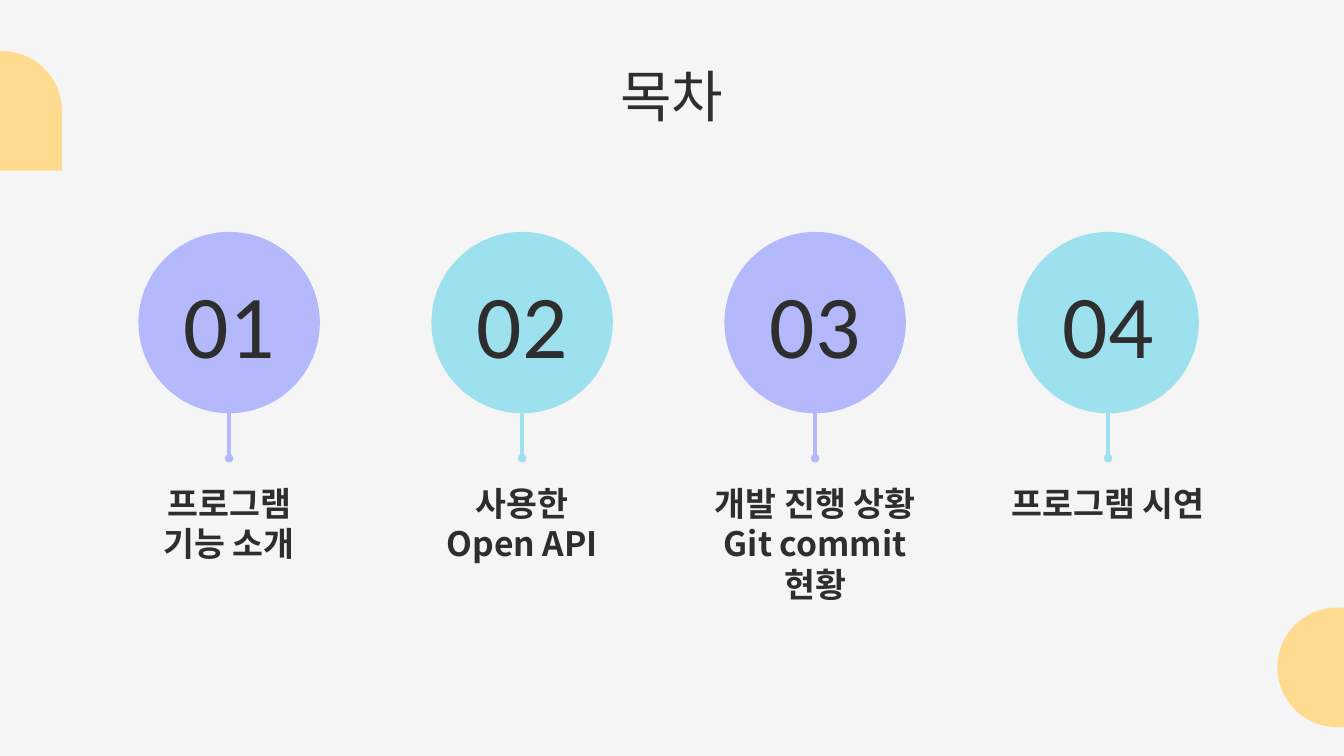
"""Build a table of contents slide with four numbered topics."""

from dataclasses import dataclass

from lxml.etree import SubElement
from pptx import Presentation
from pptx.dml.color import RGBColor
from pptx.enum.shapes import MSO_CONNECTOR, MSO_SHAPE
from pptx.enum.text import MSO_ANCHOR, MSO_AUTO_SIZE, PP_ALIGN
from pptx.oxml.ns import qn
from pptx.util import Pt

SCALE = 4572
INK, PAPER, GOLD = "2E2E2E", "F5F5F5", "FFDB8F"
LILAC, AQUA = "B3B9FB", "9DE0EE"
HANGUL, LATIN = "Noto Sans CJK KR", "Calibri"
FIRST, STEP = 341, 436


@dataclass
class Topic:
    """Hold one topic of the contents."""

    label: str
    width: int
    color: str


TOPICS = [
    Topic("프로그램\n기능 소개", 336, LILAC),
    Topic("사용한\nOpen API", 356, AQUA),
    Topic("개발 진행 상황\nGit commit 현황", 356, LILAC),
    Topic("프로그램 시연", 446, AQUA),
]


def px(*sizes: int) -> list[int]:
    """Turn px into EMU."""
    return [size * SCALE for size in sizes]


def paint(fill, color: str) -> None:
    """Give a fill one solid colour."""
    fill.solid()
    fill.fore_color.rgb = RGBColor.from_string(color)


def apply(item, style: dict) -> None:
    """Set attributes from a dict of format values."""
    for name, value in style.items():
        setattr(item, name, value)


def write(shape, text: str, anchor: MSO_ANCHOR, style: dict) -> None:
    """Fill a shape with centred text."""
    frame = shape.text_frame
    inset = px(20)[0]
    sides = ("left", "right", "top", "bottom")
    apply(frame, {f"margin_{side}": inset for side in sides})
    apply(frame, {
        "word_wrap": True,
        "auto_size": MSO_AUTO_SIZE.NONE,
        "vertical_anchor": anchor,
    })
    para = frame.paragraphs[0]
    apply(para, {"text": text, "alignment": PP_ALIGN.CENTER})
    for run in para.runs:
        apply(run.font, style)
        paint(run.font.fill, INK)
        SubElement(run.font._element, qn("a:ea"), typeface=style["name"])


def draw(slide, kind: MSO_SHAPE, box: tuple, color: str, turn: int = 0) -> None:
    """Draw a plain filled shape."""
    shape = slide.shapes.add_shape(kind, *px(*box))
    shape.rotation = turn
    shape.shadow.inherit = False
    paint(shape.fill, color)
    shape.line.fill.background()


def link(slide, mid: int, color: str) -> None:
    """Draw a stem that ends in a small dot."""
    stem = slide.shapes.add_connector(
        MSO_CONNECTOR.STRAIGHT, *px(mid, 544, mid, 682))
    stem.line.width = Pt(2.25)
    paint(stem.line.fill, color)
    SubElement(stem.line._get_or_add_ln(), qn("a:tailEnd"),
               type="oval", w="sm", len="sm")
    SubElement(stem._element.spPr, qn("a:effectLst"))


def place(slide, topic: Topic, rank: int) -> None:
    """Draw one topic with its stem, disc, number and label."""
    mid = FIRST + STEP * rank
    link(slide, mid, topic.color)
    draw(slide, MSO_SHAPE.OVAL, (mid - 135, 345, 270, 270), topic.color)
    digits = slide.shapes.add_textbox(*px(mid - 192, 417, 384, 126))
    write(digits, f"{rank + 1:02}", MSO_ANCHOR.MIDDLE,
          {"name": LATIN, "size": Pt(48)})
    label = slide.shapes.add_textbox(
        *px(mid - topic.width // 2, 699, topic.width, 126))
    write(label, topic.label, MSO_ANCHOR.TOP,
          {"name": HANGUL, "size": Pt(18), "bold": True})


def main() -> None:
    """Build and save the deck."""
    deck = Presentation()
    deck.slide_width, deck.slide_height = px(2000, 1125)
    slide = deck.slides.add_slide(deck.slide_layouts.get_by_name("Title Only"))
    paint(slide.background.fill, PAPER)
    for left, top in ((1901, 904), (-86, 76)):
        draw(slide, MSO_SHAPE.TEAR, (left, top, 178, 178), GOLD, 90)
    title = slide.shapes.title
    names = ("left", "top", "width", "height")
    apply(title, dict(zip(names, px(299, 72, 1402, 138))))
    write(title, "목차", MSO_ANCHOR.TOP, {"name": HANGUL, "size": Pt(30)})
    for rank, topic in enumerate(TOPICS):
        place(slide, topic, rank)
    deck.save("out.pptx")


if __name__ == "__main__":
    main()
